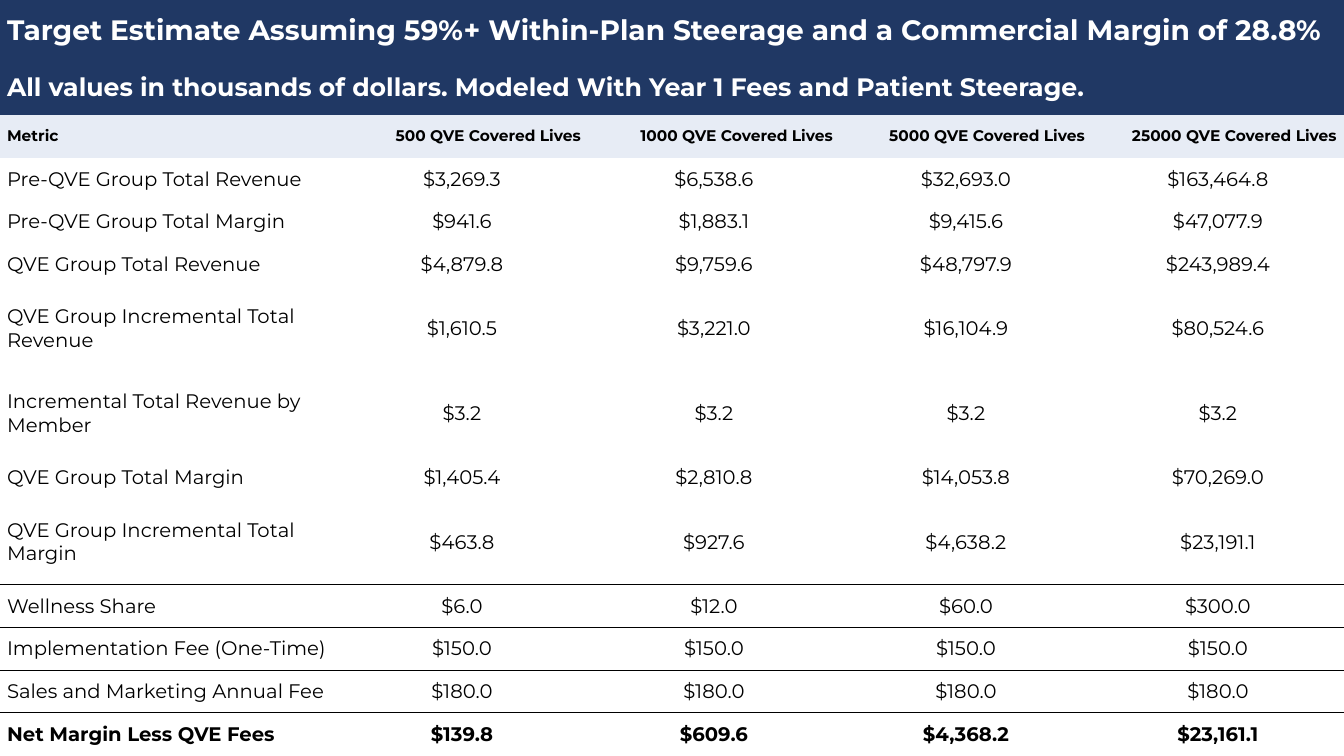
from pptx import Presentation
from pptx.dml.color import RGBColor
from pptx.enum.text import MSO_ANCHOR, PP_ALIGN
from pptx.oxml import parse_xml
from pptx.oxml.ns import nsdecls
from pptx.util import Inches, Pt

NAVY = RGBColor(0x20, 0x38, 0x64)
PALE_BLUE = RGBColor(0xE7, 0xEC, 0xF5)
WHITE = RGBColor(0xFF, 0xFF, 0xFF)
BLACK = RGBColor(0, 0, 0)

SLIDE_WIDTH, SLIDE_HEIGHT = Inches(13.33), Inches(7.5)
COLUMN_SHARES = [4 / 16] + [3 / 16] * 4
BANNER_HEIGHTS = [Inches(0.6), Inches(0.54)]
ROW_UNIT = (SLIDE_HEIGHT - sum(BANNER_HEIGHTS)) / 15
NO_STYLE = "{2D5ABB26-0587-4C30-8999-92F81FD0307C}"

TITLE_FORMAT = {"size": Pt(20), "bold": True, "color": WHITE}
SUBTITLE_FORMAT = {**TITLE_FORMAT, "size": Pt(18)}
HEADING_FORMAT = {"size": Pt(11), "bold": True, "color": BLACK}
BODY_FORMAT = {"size": Pt(14), "bold": False, "color": BLACK}
TOTAL_FORMAT = {**BODY_FORMAT, "bold": True}

BANNERS = [
    ("Target Estimate Assuming 59%+ Within-Plan Steerage and a Commercial Margin of 28.8%",
     TITLE_FORMAT),
    ("All values in thousands of dollars. Modeled With Year 1 Fees and Patient Steerage.",
     SUBTITLE_FORMAT),
]
COVERED_LIVES = [500, 1000, 5000, 25000]
HEADINGS = ["Metric"] + [f"{lives} QVE Covered Lives" for lives in COVERED_LIVES]
# Metric, row units, one value per group size
METRICS = [
    ("Pre-QVE Group Total Revenue", 1, [3269.3, 6538.6, 32693.0, 163464.8]),
    ("Pre-QVE Group Total Margin", 1, [941.6, 1883.1, 9415.6, 47077.9]),
    ("QVE Group Total Revenue", 1, [4879.8, 9759.6, 48797.9, 243989.4]),
    ("QVE Group Incremental Total Revenue", 2, [1610.5, 3221.0, 16104.9, 80524.6]),
    ("Incremental Total Revenue by Member", 2, [3.2] * 4),
    ("QVE Group Total Margin", 1, [1405.4, 2810.8, 14053.8, 70269.0]),
    ("QVE Group Incremental Total Margin", 2, [463.8, 927.6, 4638.2, 23191.1]),
    ("Wellness Share", 1, [6.0, 12.0, 60.0, 300.0]),
    ("Implementation Fee (One-Time)", 1, [150.0] * 4),
    ("Sales and Marketing Annual Fee", 1, [180.0] * 4),
    ("Net Margin Less QVE Fees", 1, [139.8, 609.6, 4368.2, 23161.1]),
]
RULED_BELOW = ["QVE Group Incremental Total Margin", "Implementation Fee (One-Time)"]


def write_cell(cell, text, font_format, align=PP_ALIGN.LEFT, fill=None):
    cell_format = {
        "text": text, "vertical_anchor": MSO_ANCHOR.MIDDLE,
        "margin_left": Inches(0.07), "margin_right": Inches(0.07),
        "margin_top": 0, "margin_bottom": 0,
    }
    for name, value in cell_format.items():
        setattr(cell, name, value)
    if fill is None:
        cell.fill.background()
    else:
        cell.fill.solid()
        cell.fill.fore_color.rgb = fill
    paragraph = cell.text_frame.paragraphs[0]
    paragraph.alignment = align
    font = paragraph.runs[0].font
    font.name = "Montserrat"
    font.size, font.bold = font_format["size"], font_format["bold"]
    font.color.rgb = font_format["color"]


def write_row(table, row, texts, font_format, value_align, fill=None):
    for column, text in enumerate(texts):
        align = value_align if column else PP_ALIGN.LEFT
        write_cell(table.cell(row, column), text, font_format, align, fill)


def rule_below(table, row):
    """Draw a thin line on the edge shared by this row and the next."""
    for edge_row, edge in ((row, "lnB"), (row + 1, "lnT")):
        for column in range(len(COLUMN_SHARES)):
            line = parse_xml(
                f'<a:{edge} {nsdecls("a")} w="{Pt(1)}"><a:solidFill>'
                f'<a:srgbClr val="{BLACK}"/></a:solidFill></a:{edge}>')
            table.cell(edge_row, column)._tc.get_or_add_tcPr().insert(0, line)


def add_estimate_table(slide):
    row_heights = BANNER_HEIGHTS + [
        int(ROW_UNIT * units) for units in [1] + [units for _, units, _ in METRICS]]
    frame = slide.shapes.add_table(
        len(row_heights), len(COLUMN_SHARES), 0, 0, SLIDE_WIDTH, SLIDE_HEIGHT)
    table = frame.table
    table.first_row = table.horz_banding = False
    table._tbl.tblPr.find("{*}tableStyleId").text = NO_STYLE
    for column, share in zip(table.columns, COLUMN_SHARES):
        column.width = int(SLIDE_WIDTH * share)
    for row, height in zip(table.rows, row_heights):
        row.height = height
    return table


def main():
    prs = Presentation()
    prs.slide_width, prs.slide_height = SLIDE_WIDTH, SLIDE_HEIGHT
    table = add_estimate_table(prs.slides.add_slide(prs.slide_layouts[6]))

    for row, (text, font_format) in enumerate(BANNERS):
        banner = table.cell(row, 0)
        banner.merge(table.cell(row, len(COLUMN_SHARES) - 1))
        write_cell(banner, text, font_format, fill=NAVY)

    heading_row = len(BANNERS)
    write_row(table, heading_row, HEADINGS, HEADING_FORMAT, PP_ALIGN.RIGHT, PALE_BLUE)

    for row, (metric, _, values) in enumerate(METRICS, heading_row + 1):
        font_format = TOTAL_FORMAT if metric.startswith("Net") else BODY_FORMAT
        texts = [metric] + [f"${value:,.1f}" for value in values]
        write_row(table, row, texts, font_format, PP_ALIGN.CENTER)
        if metric in RULED_BELOW:
            rule_below(table, row)

    prs.save("out.pptx")


if __name__ == "__main__":
    main()
